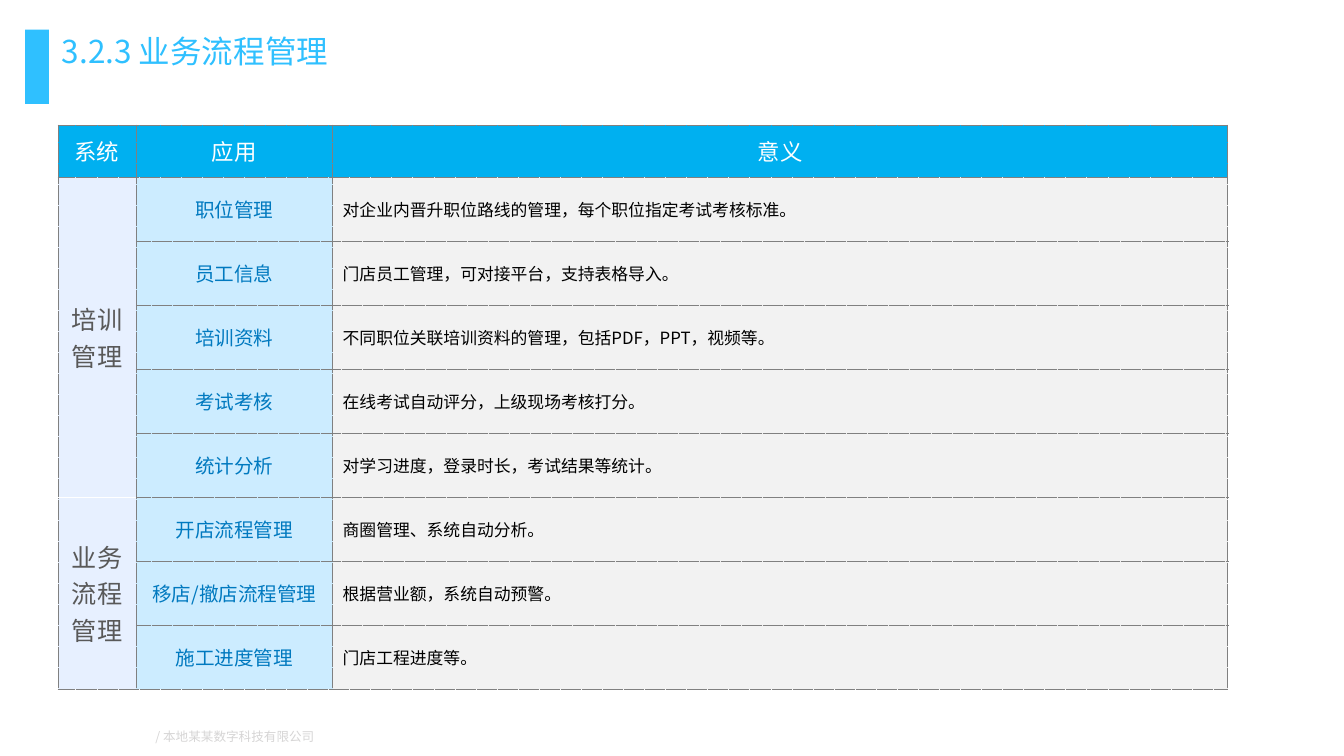
import pptx
import pptx.util
import pptx.dml.color
import pptx.enum.shapes
import pptx.enum.text
import pptx.oxml.ns
import lxml.etree

TITLE = "3.2.3 业务流程管理"
FOOT = "/ 本地某某数字科技有限公司"
HEAD = ["系统", "应用", "意义"]
GROUPS = [
    ("培训管理", [
        ("职位管理", "对企业内晋升职位路线的管理，每个职位指定考试考核标准。"),
        ("员工信息", "门店员工管理，可对接平台，支持表格导入。"),
        ("培训资料", "不同职位关联培训资料的管理，包括PDF，PPT，视频等。"),
        ("考试考核", "在线考试自动评分，上级现场考核打分。"),
        ("统计分析", "对学习进度，登录时长，考试结果等统计。"),
    ]),
    ("业务流程管理", [
        ("开店流程管理", "商圈管理、系统自动分析。"),
        ("移店/撤店流程管理", "根据营业额，系统自动预警。"),
        ("施工进度管理", "门店工程进度等。"),
    ]),
]
THEME = {
    "font": "Noto Sans CJK SC", "accent": "2FC0FF", "foot": "D6D5D5", "grid": "808080", "white": "FFFFFF",
    "title_size": 45, "foot_size": 18,
    "head": {"size": 32, "color": "FFFFFF", "fill": "00B0F0"},
    "group": {"size": 36, "color": "595959", "fill": "E7F0FF"},
    "app": {"size": 28, "color": "0079BF", "fill": "CCECFF"},
    "note": {"size": 24, "color": "000000", "fill": "F2F2F2"},
}
COLS = [1.55, 3.9, 17.76]
HEAD_H, ROW_H = 1.03, 1.27
Inches = pptx.util.Inches
ALIGN = pptx.enum.text.PP_ALIGN
MIDDLE = pptx.enum.text.MSO_ANCHOR.MIDDLE


def rgb(code):
    return pptx.dml.color.RGBColor.from_string(code)


def sub(parent, tag, **attrs):
    return lxml.etree.SubElement(parent, pptx.oxml.ns.qn(tag), **attrs)


def write(frame, text, size, color, align=ALIGN.CENTER):
    para = frame.paragraphs[0]
    para.alignment = align
    run = para.add_run()
    run.text = text
    run.font.size = pptx.util.Pt(size)
    run.font.bold = False
    run.font.name = THEME["font"]
    run.font.color.rgb = rgb(color)
    sub(run.font._element, "a:ea", typeface=THEME["font"])


def pad(item, side, top):
    item.margin_left = item.margin_right = Inches(side)
    item.margin_top = item.margin_bottom = Inches(top)
    item.vertical_anchor = MIDDLE


def dress(cell, fill, white=""):
    props = cell._tc.get_or_add_tcPr()
    for side in "LRTB":
        plain = side in white
        line = sub(props, "a:ln" + side, w="12700")
        paint = sub(line, "a:solidFill")
        sub(paint, "a:srgbClr", val=THEME["white" if plain else "grid"])
        sub(line, "a:prstDash", val="solid" if plain else "dot")
    cell.fill.solid()
    cell.fill.fore_color.rgb = rgb(fill)


def fill_cell(cell, text, style, align=ALIGN.CENTER):
    pad(cell, 0.2, 0.1)
    dress(cell, style["fill"])
    write(cell.text_frame, text, style["size"], style["color"], align)


def add_group(table, top, name, items):
    style = THEME["group"]
    last = top + len(items) - 1
    for row, (app, note) in enumerate(items, top):
        white = ("T" if row == top > 1 else "") + ("B" if row == last < len(table.rows) - 1 else "")
        dress(table.cell(row, 0), style["fill"], white)
        fill_cell(table.cell(row, 1), app, THEME["app"])
        fill_cell(table.cell(row, 2), note, THEME["note"], ALIGN.JUSTIFY)
    cell = table.cell(top, 0)
    cell.merge(table.cell(last, 0))
    pad(cell, 0.1, 0.03)
    cell._tc.get_or_add_tcPr().set("vert", "eaVert")
    write(cell.text_frame, name, style["size"], style["color"])
    return last + 1


def add_table(slide):
    count = sum(len(items) for _, items in GROUPS)
    frame = slide.shapes.add_table(count + 1, len(COLS), Inches(1.15), Inches(2.48),
                                   Inches(sum(COLS)), Inches(HEAD_H + count * ROW_H))
    table = frame.table
    table.horz_banding = False
    for col, width in zip(table.columns, COLS):
        col.width = Inches(width)
    for row, height in zip(table.rows, [HEAD_H] + [ROW_H] * count):
        row.height = Inches(height)
    for col, text in enumerate(HEAD):
        fill_cell(table.cell(0, col), text, THEME["head"])
    top = 1
    for name, items in GROUPS:
        top = add_group(table, top, name, items)


def main():
    deck = pptx.Presentation()
    deck.slide_width, deck.slide_height = Inches(26.67), Inches(15)
    slide = deck.slides.add_slide(deck.slide_layouts[5])

    foot = slide.shapes.add_textbox(Inches(2.99), Inches(14.38), Inches(3.34), Inches(0.46)).text_frame
    foot.word_wrap = True
    pad(foot, 0.08, 0.08)
    write(foot, FOOT, THEME["foot_size"], THEME["foot"])

    bar = slide.shapes.add_shape(pptx.enum.shapes.MSO_SHAPE.RECTANGLE,
                                 Inches(0.5), Inches(0.59), Inches(0.47), Inches(1.47))
    bar.shadow.inherit = False
    bar.fill.solid()
    bar.fill.fore_color.rgb = rgb(THEME["accent"])
    bar.line.fill.background()

    title = slide.shapes.title
    title.left, title.top = Inches(1.15), Inches(0.59)
    title.width, title.height = Inches(24.23), Inches(0.83)
    pad(title.text_frame, 0.08, 0.08)
    write(title.text_frame, TITLE, THEME["title_size"], THEME["accent"], ALIGN.LEFT)

    add_table(slide)
    deck.save("out.pptx")


if __name__ == "__main__":
    main()
